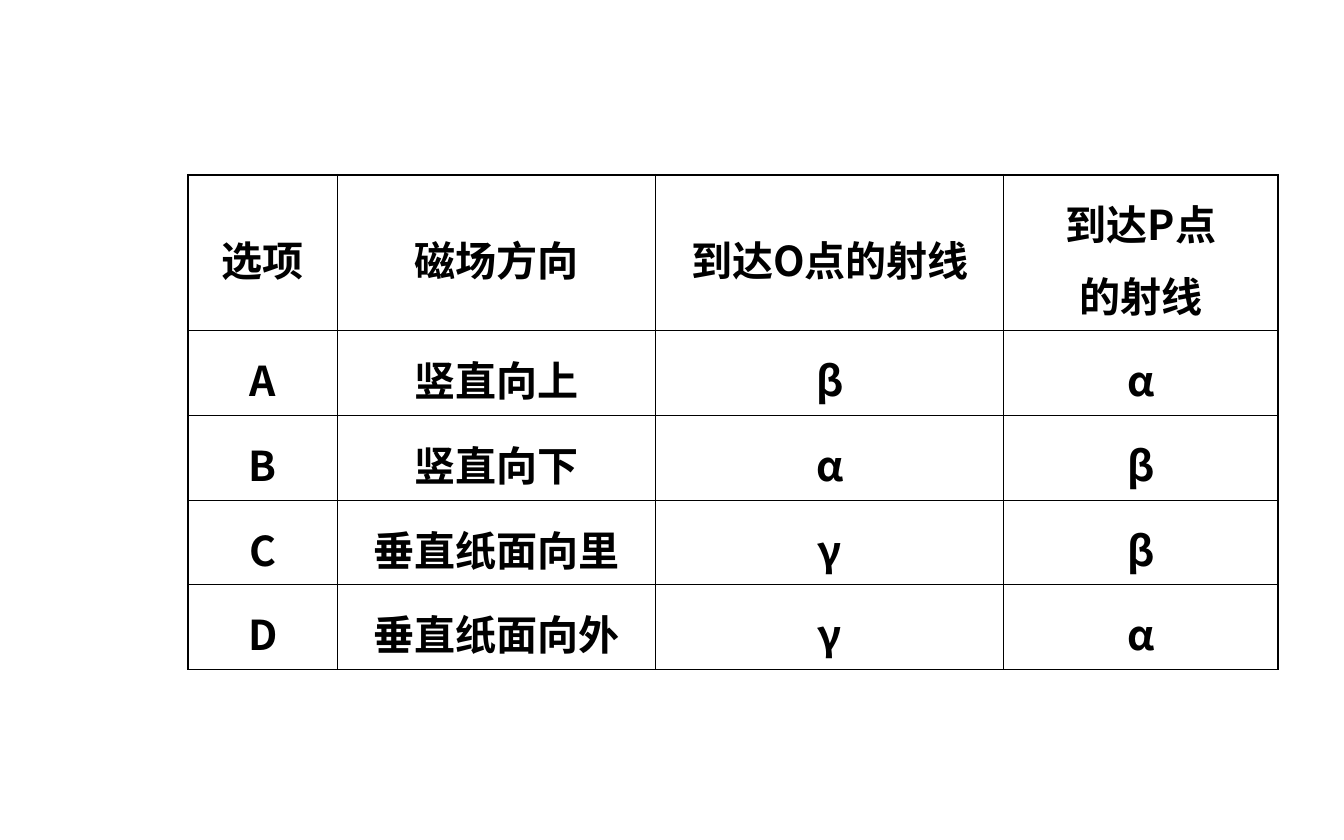
from lxml.etree import SubElement
from pptx import Presentation
from pptx.dml.color import RGBColor
from pptx.enum.text import MSO_ANCHOR, PP_ALIGN
from pptx.oxml.ns import qn
from pptx.util import Pt

FONT = "Noto Sans CJK SC"
BLACK = "000000"
THIN, THICK = 0.45, 1.08


def rgb(color):
    return RGBColor.from_string(color)


def add_border(cell, side, width):
    line = SubElement(cell._tc.get_or_add_tcPr(), qn(f"a:ln{side}"), w=str(Pt(width)))
    fill = SubElement(line, qn("a:solidFill"))
    SubElement(fill, qn("a:srgbClr"), val=BLACK)


rows = [
    ["选项", "磁场方向", "到达O点的射线", "到达P点\n的射线"],
    ["A", "竖直向上", "β", "α"],
    ["B", "竖直向下", "α", "β"],
    ["C", "垂直纸面向里", "γ", "β"],
    ["D", "垂直纸面向外", "γ", "α"],
]
column_widths = [79.92, 170.64, 186.48, 146.88]
row_heights = [70.56] + [38.88] * 4

presentation = Presentation()
presentation.slide_width = Pt(720)
presentation.slide_height = Pt(450)
slide = presentation.slides.add_slide(presentation.slide_layouts[6])

table = slide.shapes.add_table(
    len(rows), len(column_widths), Pt(100.8), Pt(93.6),
    Pt(sum(column_widths)), Pt(sum(row_heights)),
).table
table.first_row = False
table.horz_banding = False
for column, width in zip(table.columns, column_widths):
    column.width = Pt(width)
for row, height in zip(table.rows, row_heights):
    row.height = Pt(height)

last_row, last_column = len(rows) - 1, len(column_widths) - 1
for row_index, texts in enumerate(rows):
    for column_index, text in enumerate(texts):
        cell = table.cell(row_index, column_index)
        cell.text = text
        cell.vertical_anchor = MSO_ANCHOR.MIDDLE
        outer_sides = {
            "L": column_index == 0,
            "R": column_index == last_column,
            "T": row_index == 0,
            "B": row_index == last_row,
        }
        for side, is_outer in outer_sides.items():
            add_border(cell, side, THICK if is_outer else THIN)
        cell.fill.background()
        for paragraph in cell.text_frame.paragraphs:
            paragraph.alignment = PP_ALIGN.CENTER
            paragraph.line_spacing = 1.2
            font = paragraph.font
            font.name = FONT
            font.size = Pt(22)
            font.bold = True
            font.color.rgb = rgb(BLACK)
            properties = paragraph._p.pPr.find(qn("a:defRPr"))
            SubElement(properties, qn("a:ea"), typeface=FONT)

presentation.save("out.pptx")
